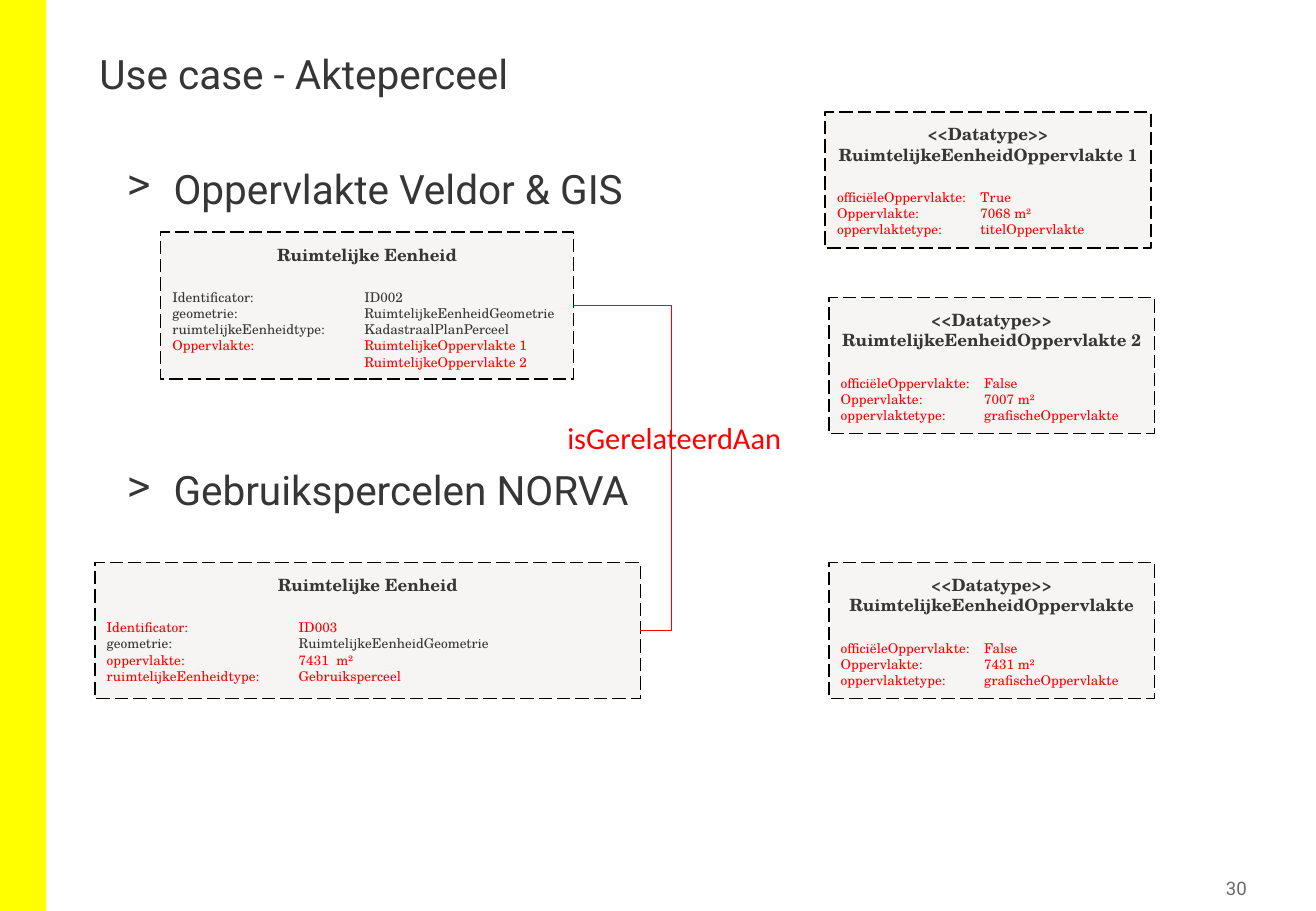
from lxml import etree
from pptx import Presentation
from pptx.dml.color import RGBColor
from pptx.enum import dml, shapes, text
from pptx.oxml import ns
from pptx.util import Inches, Pt

COLORS = {
    "yellow": "FFFF00",
    "dark": "373636",
    "gray": "6B6B6B",
    "red": "FF0000",
    "panel": "F6F5F3",
    "black": "000000",
}
SANS, SERIF = "Roboto", "TeX Gyre Schola"
ALIGN = text.PP_ALIGN


def color(name):
    return RGBColor.from_string(COLORS[name])


def add_xml(parent, tag, **attrs):
    return etree.SubElement(parent, ns.qn(tag), attrs)


def write(frame, line, size, font, tint, bold=False, align=ALIGN.LEFT):
    """Fill the frame's empty first paragraph, or append a paragraph."""
    first = frame.paragraphs[0]
    para = first if not first.runs else frame.add_paragraph()
    para.add_run().text = line
    para.alignment = align
    para.font.size = Pt(size)
    para.font.name = font
    para.font.bold = bold
    para.font.color.rgb = color(tint)
    return para


def set_inset(frame, inset):
    frame.margin_left = frame.margin_right = Inches(inset)
    frame.margin_top = frame.margin_bottom = Inches(inset)


def add_frame(slide, left, top, width, height):
    box = slide.shapes.add_textbox(
        Inches(left), Inches(top), Inches(width), Inches(height))
    box.text_frame.word_wrap = True
    return box.text_frame


def add_rect(slide, left, top, width, height, fill):
    rect = slide.shapes.add_shape(
        shapes.MSO_SHAPE.RECTANGLE,
        Inches(left), Inches(top), Inches(width), Inches(height))
    rect.shadow.inherit = False
    rect.fill.solid()
    rect.fill.fore_color.rgb = color(fill)
    rect.line.fill.background()
    return rect


def add_card(slide, place, heads, rows, stop):
    """Dashed box with bold headings and label/value rows; values start at stop."""
    card = add_rect(slide, *place, "panel")
    card.line.color.rgb = color("black")
    card.line.width = Pt(1)
    card.line.dash_style = dml.MSO_LINE.LONG_DASH
    frame = card.text_frame
    frame.word_wrap = True
    frame.vertical_anchor = text.MSO_ANCHOR.TOP
    set_inset(frame, 0.1)
    for head in heads:
        write(frame, head, 10, SERIF, "dark", True, ALIGN.CENTER)
    for index, (label, value, tint) in enumerate(rows):
        para = write(frame, f"{label}\t{value}", 8, SERIF, tint)
        if index == 0:
            para.space_before = Pt(14.5)
        tabs = add_xml(para._p.get_or_add_pPr(), "a:tabLst")
        add_xml(tabs, "a:tab", pos=str(Inches(stop)), algn="l")
    return card


def add_unit(slide, place, rows):
    return add_card(slide, place, ["Ruimtelijke Eenheid"], rows, 1.58)


def add_type(slide, left, top, suffix, official, area, kind):
    rows = [
        ("officiëleOppervlakte:", official, "red"),
        ("Oppervlakte:", area, "red"),
        ("oppervlaktetype:", kind, "red"),
    ]
    heads = ["<<Datatype>>", "RuimtelijkeEenheidOppervlakte" + suffix]
    add_card(slide, (left, top, 2.68, 1.12), heads, rows, 1.18)


def add_bullet(frame, line, before):
    para = write(frame, line, 24, SANS, "dark")
    para.space_before = Pt(before)
    props = para._p.get_or_add_pPr()
    props.set("marL", str(Inches(0.38)))
    props.set("indent", str(-Inches(0.38)))
    add_xml(props, "a:buChar", char=">")


def add_link(slide, start, end):
    """Elbow line between the right sides of two cards."""
    link = slide.shapes.add_connector(shapes.MSO_CONNECTOR.ELBOW, 0, 0, 0, 0)
    link.begin_connect(start, 3)
    link.end_connect(end, 3)
    link.line.color.rgb = color("red")
    link.line.width = Pt(0.5)
    props = link._element.spPr
    add_xml(props, "a:effectLst")
    guides = props.find(ns.qn("a:prstGeom")).get_or_add_avLst()
    add_xml(guides, "a:gd", name="adj1", fmla="val 146200")


def main():
    deck = Presentation()
    deck.slide_width, deck.slide_height = Inches(10.83), Inches(7.5)
    slide = deck.slides.add_slide(deck.slide_layouts[6])

    add_rect(slide, 0, 0, 0.38, 7.5, "yellow")
    title = add_frame(slide, 0.72, 0.4, 9.59, 0.62)
    write(title, "Use case - Akteperceel", 24, SANS, "dark").line_spacing = 0.9
    number = add_frame(slide, 9.5, 7.17, 0.81, 0.29)
    set_inset(number, 0.05)
    number.vertical_anchor = text.MSO_ANCHOR.MIDDLE
    write(number, "30", 11, SANS, "gray", align=ALIGN.RIGHT)

    body = add_frame(slide, 0.95, 1.3, 9.36, 5.9)
    add_bullet(body, "Oppervlakte Veldor & GIS", 7)
    add_bullet(body, "Gebruikspercelen NORVA", 150)

    usage = add_unit(slide, (0.78, 4.63, 4.49, 1.12), [
        ("Identificator:", "ID003", "red"),
        ("geometrie:", "RuimtelijkeEenheidGeometrie", "dark"),
        ("oppervlakte:", "7431  m²", "red"),
        ("ruimtelijkeEenheidtype:", "Gebruiksperceel", "red"),
    ])
    parcel = add_unit(slide, (1.32, 1.91, 3.4, 1.21), [
        ("Identificator:", "ID002", "dark"),
        ("geometrie:", "RuimtelijkeEenheidGeometrie", "dark"),
        ("ruimtelijkeEenheidtype:", "KadastraalPlanPerceel", "dark"),
        ("Oppervlakte:", "RuimtelijkeOppervlakte 1", "red"),
        ("", "RuimtelijkeOppervlakte 2", "red"),
    ])
    add_type(slide, 6.79, 0.92, " 1", "True", "7068 m²", "titelOppervlakte")
    add_type(slide, 6.82, 2.45, " 2", "False", "7007 m²", "grafischeOppervlakte")
    add_type(slide, 6.82, 4.63, "", "False", "7431 m²", "grafischeOppervlakte")

    add_link(slide, parcel, usage)
    label = add_frame(slide, 4.57, 3.4, 2.39, 0.4)
    write(label, "isGerelateerdAan", 18, "Calibri", "red")
    deck.save("out.pptx")


if __name__ == "__main__":
    main()
